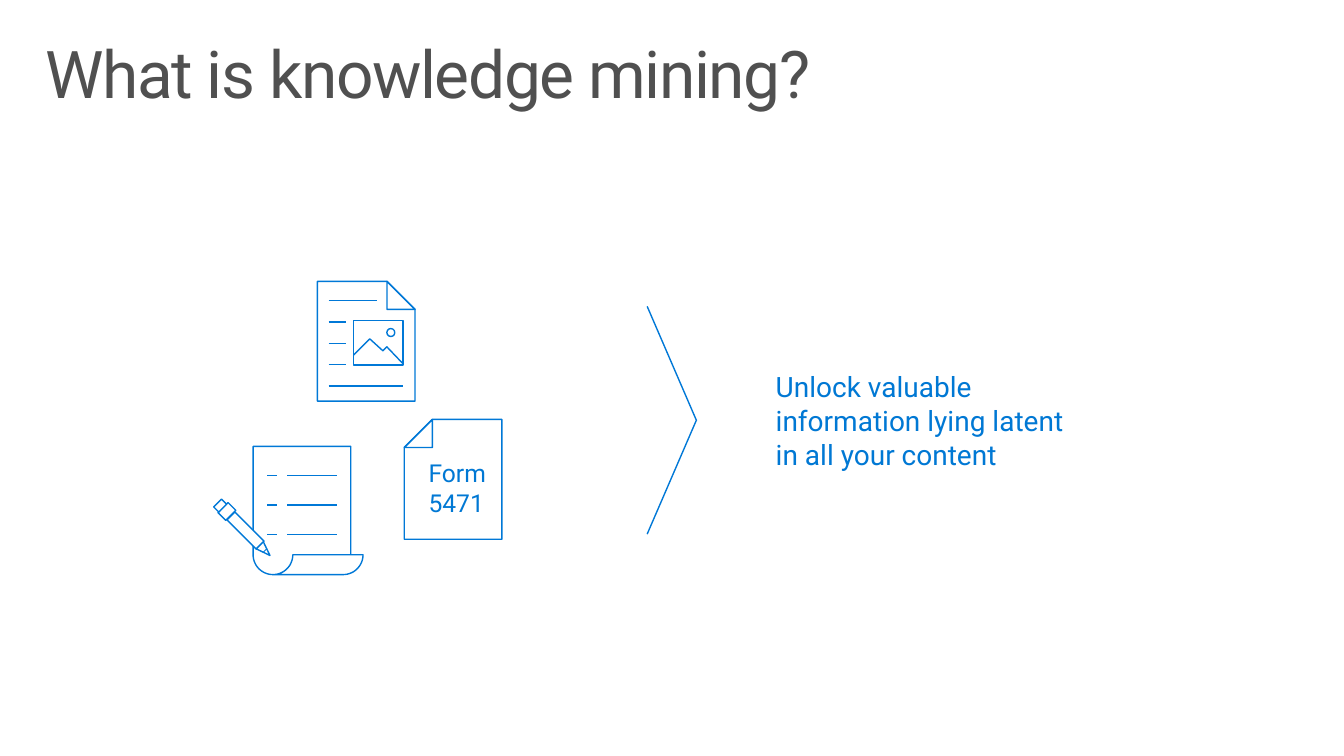
from math import cos, radians, sin

from lxml import etree
from pptx import Presentation
from pptx.dml.color import RGBColor
from pptx.enum.shapes import MSO_CONNECTOR, MSO_SHAPE
from pptx.oxml.ns import qn
from pptx.util import Cm, Pt

RECTANGLE = MSO_SHAPE.RECTANGLE
TRIANGLE = MSO_SHAPE.ISOSCELES_TRIANGLE
SNIPPED_PAGE = MSO_SHAPE.SNIP_1_RECTANGLE
OVAL = MSO_SHAPE.OVAL
STRAIGHT = MSO_CONNECTOR.STRAIGHT

FONT = "Roboto"
OUTLINE = "0078D7"
BLUE_TEXT = "0078D4"
TITLE_GREY = "505050"
WHITE = "FFFFFF"

# Page icon measures, in cm
PAGE_WIDTH, PAGE_HEIGHT = 2.46, 3.02
SNIP_RATIO = 0.287


def color(hex_string):
    return RGBColor.from_string(hex_string)


def draw_outline(shape, fill=None):
    shape.shadow.inherit = False
    if fill:
        shape.fill.solid()
        shape.fill.fore_color.rgb = color(fill)
    else:
        shape.fill.background()
    shape.line.color.rgb = color(OUTLINE)
    shape.line.width = Pt(1)


def add_outlined(slide, kind, left, top, width, height, rotation=0, fill=None):
    shape = slide.shapes.add_shape(kind, Cm(left), Cm(top), Cm(width), Cm(height))
    shape.rotation = rotation
    draw_outline(shape, fill)
    return shape


def add_path(slide, left, top, *strokes):
    """Draw open strokes whose points are relative to left and top."""
    placed = [[(Cm(left + x), Cm(top + y)) for x, y in stroke] for stroke in strokes]
    builder = slide.shapes.build_freeform(*placed[0][0])
    for number, points in enumerate(placed):
        if number:
            builder.move_to(*points[0])
        builder.add_line_segments(points[1:], close=False)
    draw_outline(builder.convert_to_shape())


def add_rule(slide, x1, y1, x2, y2, weight=1):
    rule = slide.shapes.add_connector(STRAIGHT, Cm(x1), Cm(y1), Cm(x2), Cm(y2))
    rule.line.color.rgb = color(OUTLINE)
    rule.line.width = Pt(weight)
    etree.SubElement(rule._element.spPr, qn("a:effectLst"))


def add_text(slide, text, box, size, hex_string, margins=(0, 0)):
    left, top, width, height = box
    textbox = slide.shapes.add_textbox(Cm(left), Cm(top), Cm(width), Cm(height))
    frame = textbox.text_frame
    frame.word_wrap = True
    frame.margin_left = frame.margin_right = Cm(margins[0])
    frame.margin_top = frame.margin_bottom = Cm(margins[1])
    frame.text = text
    paragraph = frame.paragraphs[0]
    font = paragraph.runs[0].font
    font.name, font.size = FONT, Pt(size)
    font.color.rgb = color(hex_string)
    return paragraph


def arc(center_x, center_y, radius, start, end, step=6):
    direction = step if end > start else -step
    return [(center_x + radius * cos(radians(angle)),
             center_y + radius * sin(radians(angle)))
            for angle in range(start, end + direction, direction)]


def add_title(slide, left, top, width, height):
    title = add_text(slide, "What is knowledge mining?",
                     (left, top, width, height), 47, TITLE_GREY, (0.41, 0.25))
    title.line_spacing = 0.9
    title.runs[0].font._element.set("spc", "-100")


def add_page(slide, left, top, mirrored=False):
    """Sheet with one folded corner, at the right or, mirrored, at the left."""
    sheet = add_outlined(slide, SNIPPED_PAGE, left, top, PAGE_WIDTH, PAGE_HEIGHT)
    sheet.adjustments[0] = SNIP_RATIO
    if mirrored:
        sheet._element.spPr.get_or_add_xfrm().set("flipH", "1")
    snip = SNIP_RATIO * PAGE_WIDTH
    fold_width = snip * 2 ** 0.5
    fold_height = fold_width / 2
    inset = snip * 0.75
    center_x = left + (inset if mirrored else PAGE_WIDTH - inset)
    add_outlined(slide, TRIANGLE, center_x - fold_width / 2,
                 top + inset - fold_height / 2, fold_width, fold_height,
                 rotation=135 if mirrored else 225)


def add_illustrated_page(slide, left, top):
    add_page(slide, left, top)
    # Text lines
    for row, line_end in enumerate((1.5, 0.71, 0.71, 0.71, 2.16)):
        y = top + 0.48 + 0.54 * row
        add_rule(slide, left + 0.28, y, left + line_end, y)
    # Landscape
    frame_left, frame_top = left + 0.91, top + 0.99
    add_outlined(slide, RECTANGLE, frame_left, frame_top, 1.25, 1.12)
    add_path(slide, frame_left, frame_top,
             [(1.25, 1.09), (0.84, 0.66), (0.74, 0.76), (0.41, 0.46), (0, 0.87)])
    add_outlined(slide, OVAL, frame_left + 0.84, frame_top + 0.2, 0.2, 0.2)


def add_form(slide, left, top):
    add_text(slide, "Form 5471", (left + 0.61, top + 0.97, 1.73, 1.5), 17.6, BLUE_TEXT)
    add_page(slide, left, top, mirrored=True)


def add_scroll(slide, left, top):
    curl, curl_top = 0.5, 2.73
    sheet = ([(curl, curl_top + curl)]
             + arc(2.27, curl_top, curl, 90, 0)
             + arc(curl, curl_top, curl, 0, 180)
             + [(0, 0), (PAGE_WIDTH, 0), (PAGE_WIDTH, curl_top)])
    entries = [[(start, 0.74 * row), (end, 0.74 * row)]
               for row in (1, 2, 3)
               for start, end in ((0.86, 2.11), (0.36, 0.61))]
    add_path(slide, left, top, sheet, *entries)


def add_pencil(slide, left, top):
    parts = (  # kind, x, y, width, height, rotation
        (RECTANGLE, 0.64, 0.2, 0.28, 1.04, 315),   # barrel
        (TRIANGLE, 1.14, 1.04, 0.25, 0.36, 135),   # tip
        (RECTANGLE, 0.13, 0.1, 0.36, 0.28, 315),   # ferrule
        (RECTANGLE, 0, 0, 0.28, 0.18, 315),        # eraser
    )
    for kind, x, y, width, height, rotation in parts:
        add_outlined(slide, kind, left + x, top + y, width, height, rotation, WHITE)
    # Lead
    add_rule(slide, left + 1.22, top + 1.27, left + 1.32, top + 1.17, 0.75)


def add_chevron(slide, left, top, width, height):
    add_path(slide, left, top, [(0, 0), (width, height / 2), (0, height)])


def add_message(slide, left, top, width, height):
    add_text(slide, "Unlock valuable information lying latent in all your content",
             (left, top, width, height), 20, BLUE_TEXT, (0.25, 0.13))


def main():
    presentation = Presentation()
    presentation.slide_width, presentation.slide_height = Cm(33.87), Cm(19.05)
    slide = presentation.slides.add_slide(presentation.slide_layouts[6])

    add_message(slide, 19.3, 9.19, 8.2, 2.82)
    add_chevron(slide, 16.31, 7.72, 1.24, 5.74)
    add_title(slide, 0.74, 0.81, 32.39, 2.49)
    add_scroll(slide, 6.38, 11.25)
    add_pencil(slide, 5.41, 12.65)
    add_illustrated_page(slide, 8, 7.09)
    add_form(slide, 10.19, 10.57)

    presentation.save("out.pptx")


if __name__ == "__main__":
    main()
